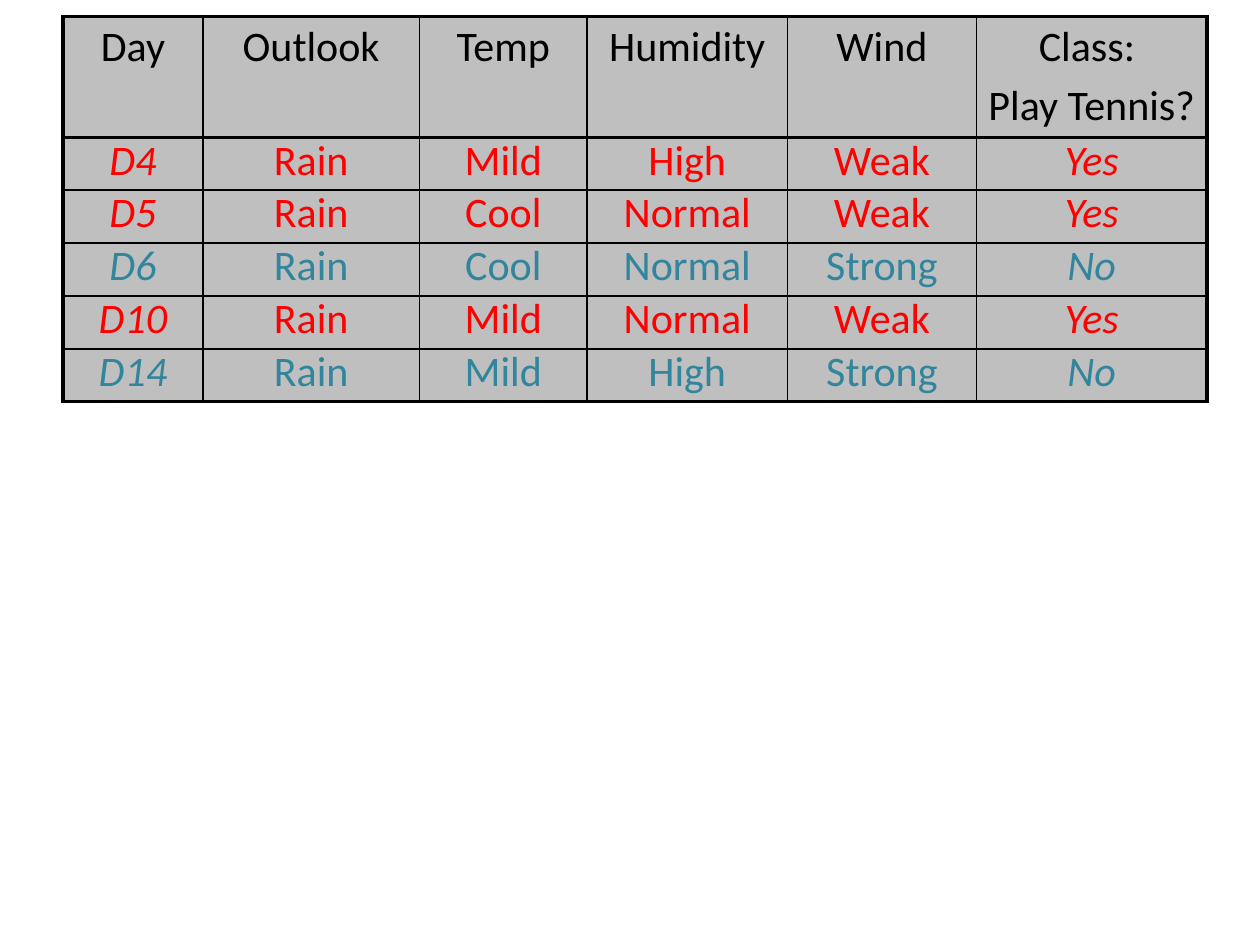
"""Builds a slide with the rain branch of the play-tennis training examples."""
import pptx
import pptx.dml.color
import pptx.enum.text
import pptx.oxml
import pptx.oxml.ns
import pptx.util

Inches = pptx.util.Inches
Pt = pptx.util.Pt


def color(value):
    return pptx.dml.color.RGBColor.from_string(value)


def add_border(cell, side, points):
    namespace = pptx.oxml.ns.nsdecls("a")
    cell._tc.get_or_add_tcPr().append(pptx.oxml.parse_xml(
        f'<a:ln{side} {namespace} w="{int(Pt(points))}"><a:solidFill>'
        f'<a:srgbClr val="000000"/></a:solidFill></a:ln{side}>'))


examples = [
    ["Day", "Outlook", "Temp", "Humidity", "Wind", "Class: \nPlay Tennis?"],
    ["D4", "Rain", "Mild", "High", "Weak", "Yes"],
    ["D5", "Rain", "Cool", "Normal", "Weak", "Yes"],
    ["D6", "Rain", "Cool", "Normal", "Strong", "No"],
    ["D10", "Rain", "Mild", "Normal", "Weak", "Yes"],
    ["D14", "Rain", "Mild", "High", "Strong", "No"],
]
column_widths = [1.11, 1.72, 1.33, 1.59, 1.5, 1.83]
row_heights = [0.96] + [0.42] * 5
class_colors = {"Yes": "FF0000", "No": "31859C"}
thin, thick = 1, 2.25
last_row, last_column = len(examples) - 1, len(column_widths) - 1
cell_format = {
    "margin_left": Inches(0.09),
    "margin_right": Inches(0.09),
    "margin_top": Inches(0.04),
    "margin_bottom": Inches(0.04),
}

deck = pptx.Presentation()
deck.slide_width, deck.slide_height = Inches(10), Inches(7.5)
slide = deck.slides.add_slide(deck.slide_layouts[6])

training = slide.shapes.add_table(
    len(examples), len(column_widths), Inches(0.5), Inches(0.13),
    Inches(sum(column_widths)), Inches(sum(row_heights))).table
training.first_row = training.horz_banding = False
for column, width in zip(training.columns, column_widths):
    column.width = Inches(width)
for row, height in zip(training.rows, row_heights):
    row.height = Inches(height)

for r, example in enumerate(examples):
    for c, entry in enumerate(example):
        cell = training.cell(r, c)
        borders = {
            "L": thick if c == 0 else thin,
            "R": thick if c == last_column else thin,
            "T": thick if r <= 1 else thin,
            "B": thick if r in (0, last_row) else thin,
        }
        for side, points in borders.items():
            add_border(cell, side, points)
        for attribute, value in cell_format.items():
            setattr(cell, attribute, value)
        cell.fill.solid()
        cell.fill.fore_color.rgb = color("BFBFBF")
        cell.text = entry
        font_format = {
            "name": "Calibri",
            "size": Pt(24),
            "italic": r > 0 and c in (0, last_column),
        }
        for i, paragraph in enumerate(cell.text_frame.paragraphs):
            paragraph.alignment = pptx.enum.text.PP_ALIGN.CENTER
            if r > 0:
                paragraph.line_spacing = 0.8
            if i > 0:
                paragraph.space_before = Pt(4.8)
            font = paragraph.runs[0].font
            for attribute, value in font_format.items():
                setattr(font, attribute, value)
            font.color.rgb = color(class_colors.get(example[-1], "000000"))

deck.save("out.pptx")
